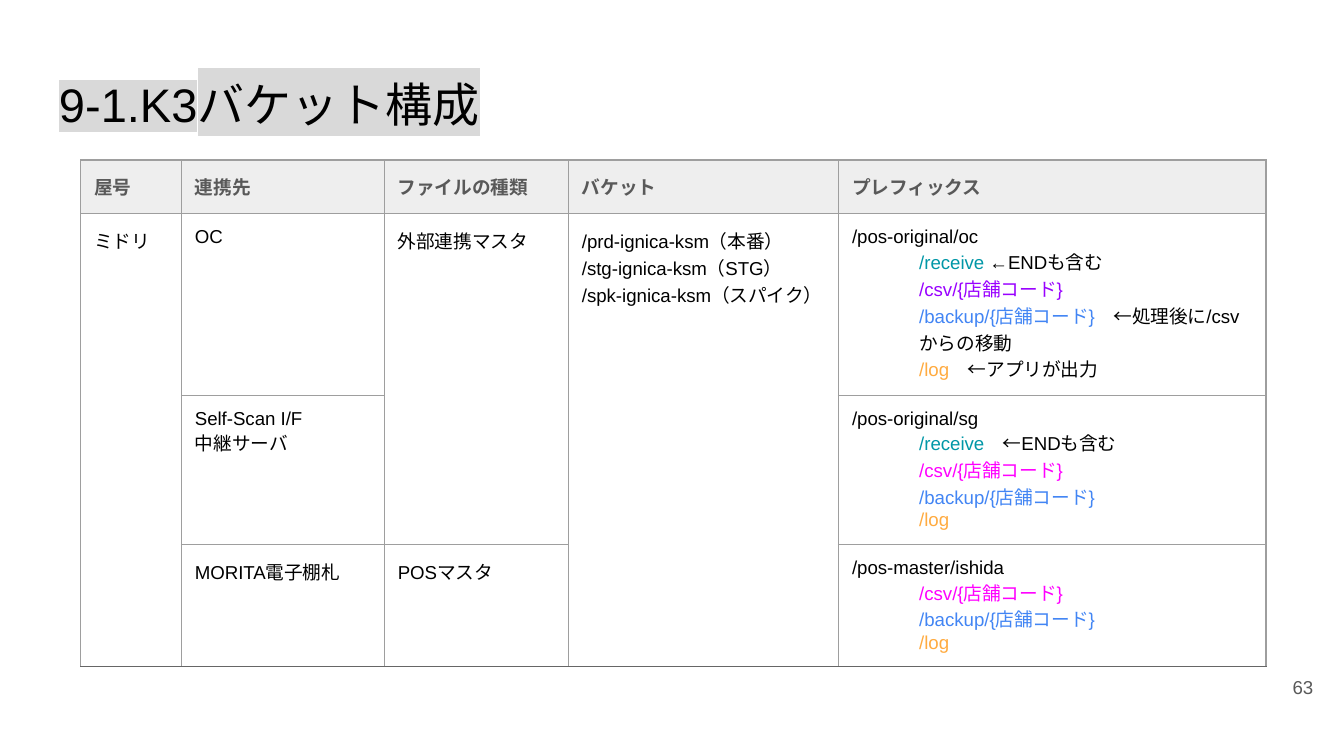
from lxml import etree
from pptx import Presentation
from pptx import util as u
from pptx.dml.color import RGBColor
from pptx.enum import lang, text
from pptx.oxml import ns

BLACK = RGBColor(0x00, 0x00, 0x00)
GRAY = RGBColor(0x59, 0x59, 0x59)
HEADER = RGBColor(0xEE, 0xEE, 0xEE)
MARKER = RGBColor(0xD9, 0xD9, 0xD9)
RULE = RGBColor(0x9E, 0x9E, 0x9E)
BOTTOM_RULE = RGBColor(0x66, 0x66, 0x66)
TEAL = RGBColor(0x00, 0x97, 0xA7)
PURPLE = RGBColor(0x99, 0x00, 0xFF)
MAGENTA = RGBColor(0xFF, 0x00, 0xFF)
BLUE = RGBColor(0x42, 0x85, 0xF4)
ORANGE = RGBColor(0xFF, 0xAB, 0x40)

# Paths that repeat under each prefix
RECEIVE = ("/receive", TEAL)
CSV = "/csv/{店舗コード}"
BACKUP = ("/backup/{店舗コード}", BLUE)
LOG = ("/log", ORANGE)


class PageBuilder:
    font = "Arial"
    size = 10
    inset = u.Inches(0.1)
    indent = u.Inches(0.5)

    def __init__(self, page):
        self.page = page

    def pad(self, target):
        target.margin_left = target.margin_right = self.inset
        target.margin_top = target.margin_bottom = self.inset

    def add_span(self, para, words, color, size=None, bold=False, marker=None):
        span = para.add_run()
        span.text = words
        span.font.size = u.Pt(size or self.size)
        span.font.bold = bold
        span.font.language_id = lang.MSO_LANGUAGE_ID.JAPANESE
        span.font.color.rgb = color
        if marker is not None:
            highlight = etree.SubElement(span.font._element, ns.qn("a:highlight"))
            etree.SubElement(highlight, ns.qn("a:srgbClr"), val=str(marker))
        span.font.name = self.font

    def text_box(self, place, words, color, align=text.PP_ALIGN.LEFT,
                 anchor=text.MSO_ANCHOR.TOP, **style):
        box = self.page.shapes.add_textbox(*map(u.Inches, place))
        frame = box.text_frame
        frame.word_wrap = True
        frame.vertical_anchor = anchor
        self.pad(frame)
        para = frame.paragraphs[0]
        para.alignment = align
        self.add_span(para, words, color, **style)

    def table(self, place, widths, heights):
        holder = self.page.shapes.add_table(
            len(heights), len(widths), *map(u.Inches, place))
        table = holder.table
        table.first_row = table.horz_banding = False
        for column, width in zip(table.columns, widths):
            column.width = u.Inches(width)
        for row, height in zip(table.rows, heights):
            row.height = u.Inches(height)
        holder.width = u.Inches(place[2])
        return table

    def border(self, cell, bottom):
        props = cell._tc.get_or_add_tcPr()
        for side in "LRTB":
            line = etree.SubElement(props, ns.qn(f"a:ln{side}"), w=str(u.Pt(0.75)))
            fill = etree.SubElement(line, ns.qn("a:solidFill"))
            color = bottom if side == "B" else RULE
            etree.SubElement(fill, ns.qn("a:srgbClr"), val=str(color))

    def cell(self, cell, lines=(), color=BLACK, bold=False, fill=None, bottom=RULE):
        self.pad(cell)
        self.border(cell, bottom)
        if fill is None:
            cell.fill.background()
        else:
            cell.fill.solid()
            cell.fill.fore_color.rgb = fill
        frame = cell.text_frame
        for index, line in enumerate(lines):
            para = frame.paragraphs[0] if index == 0 else frame.add_paragraph()
            if isinstance(line, str):
                self.add_span(para, line, color, bold=bold)
                continue
            # A list of coloured parts is an indented path
            props = para._p.get_or_add_pPr()
            props.set("marL", str(self.indent))
            props.set("indent", "0")
            for words, part_color in line:
                self.add_span(para, words, part_color)


def main():
    deck = Presentation()
    deck.slide_width = u.Inches(10)
    deck.slide_height = deck.slide_width * 9 // 16
    builder = PageBuilder(deck.slides.add_slide(deck.slide_layouts[6]))

    # Title and page number
    builder.text_box((0.34, 0.46, 9.32, 0.63), "9-1.K3バケット構成", BLACK,
                     size=25.2, marker=MARKER)
    builder.text_box((9.27, 4.9, 0.6, 0.43), "63", GRAY,
                     align=text.PP_ALIGN.RIGHT, anchor=text.MSO_ANCHOR.MIDDLE)

    # Bucket table
    headings = ["屋号", "連携先", "ファイルの種類", "バケット", "プレフィックス"]
    body = {
        (1, 0): ["ミドリ"],
        (1, 1): ["OC"],
        (1, 2): ["外部連携マスタ"],
        (1, 3): ["/prd-ignica-ksm（本番）", "/stg-ignica-ksm（STG）",
                 "/spk-ignica-ksm（スパイク）"],
        (1, 4): ["/pos-original/oc",
                 [RECEIVE, (" ←ENDも含む", BLACK)],
                 [(CSV, PURPLE)],
                 [BACKUP, ("　←処理後に/csvからの移動", BLACK)],
                 [LOG, ("　←アプリが出力", BLACK)]],
        (2, 1): ["Self-Scan I/F", "中継サーバ"],
        (2, 4): ["/pos-original/sg",
                 [RECEIVE, ("　←ENDも含む", BLACK)],
                 [(CSV, MAGENTA)], [BACKUP], [LOG]],
        (3, 1): ["MORITA電子棚札"],
        (3, 2): ["POSマスタ"],
        (3, 4): ["/pos-master/ishida", [(CSV, MAGENTA)], [BACKUP], [LOG]],
    }
    last_rows = {(1, 0): 3, (1, 2): 2, (1, 3): 3}
    widths = [0.75, 1.51, 1.37, 2.01, 3.18]
    heights = [0.4, 1.35, 1.11, 0.91]
    table = builder.table((0.6, 1.19, 8.8, sum(heights)), widths, heights)

    for column, heading in enumerate(headings):
        builder.cell(table.cell(0, column), [heading], GRAY, True, HEADER)
    for row in range(1, len(heights)):
        for column in range(len(widths)):
            last = last_rows.get((row, column), row)
            bottom = BOTTOM_RULE if last == len(heights) - 1 else RULE
            builder.cell(table.cell(row, column), body.get((row, column), ()),
                         bottom=bottom)
    for (row, column), last in last_rows.items():
        table.cell(row, column).merge(table.cell(last, column))

    deck.save("out.pptx")


if __name__ == "__main__":
    main()
